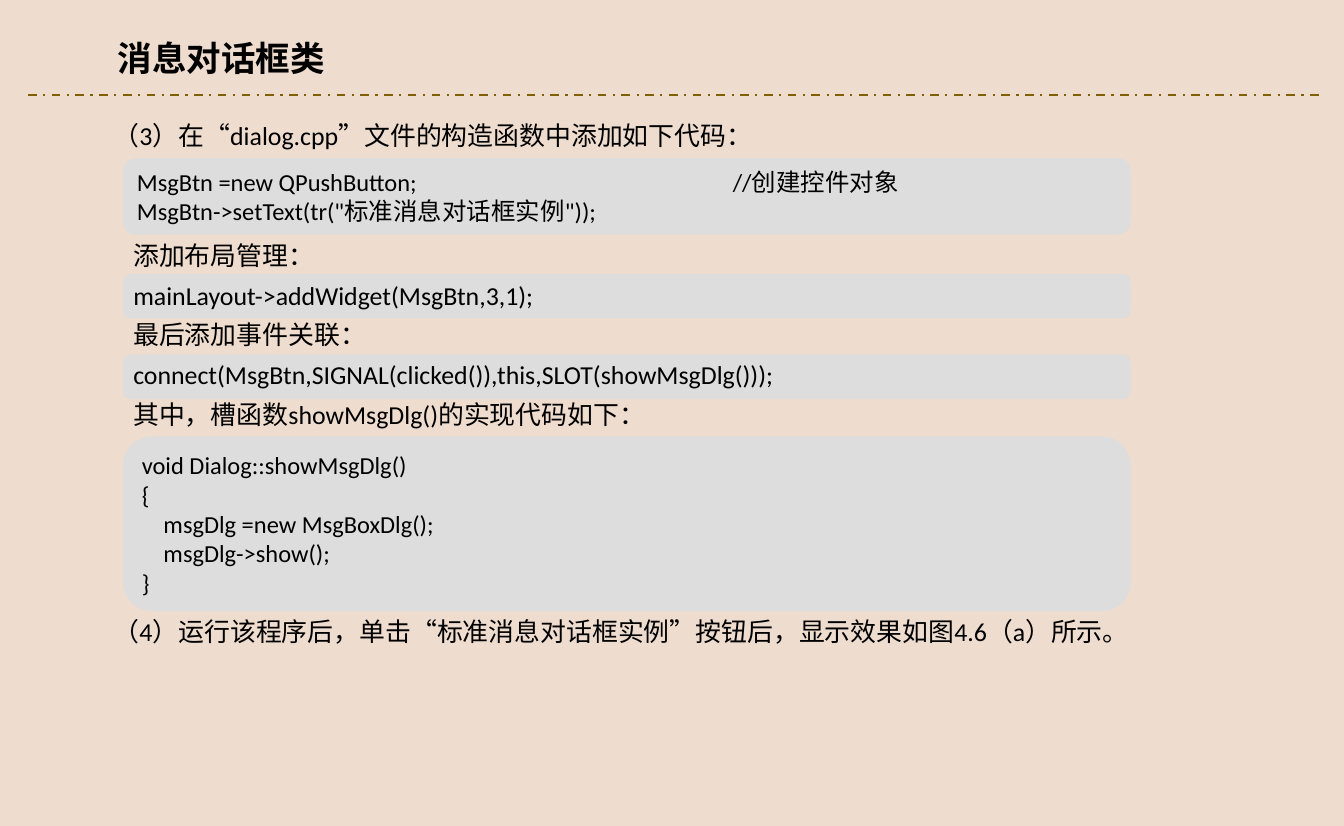
from dataclasses import dataclass

import lxml.etree
import pptx
import pptx.dml.color
import pptx.enum.dml
import pptx.enum.shapes
import pptx.enum.text
import pptx.oxml.ns
import pptx.util

Inches = pptx.util.Inches


@dataclass(frozen=True)
class Theme:
    font: str = "Calibri"
    background: str = "EEDCCE"
    panel: str = "DDDDDD"
    ink: str = "000000"
    rule: str = "806000"
    title_size: int = 24
    body_size: int = 18
    code_size: int = 17


@dataclass(frozen=True)
class Line:
    text: str
    spacing: int = 0
    indent: float = 0
    tab: float = 0


@dataclass(frozen=True)
class Block:
    left: float
    top: float
    width: float
    height: float
    size: int
    lines: tuple[Line, ...] = ()
    panel: bool = False
    bold: bool = False
    wrap: bool = True


THEME = Theme()
PANEL_LEFT, PANEL_WIDTH = 1.19, 9.74


def code_panel(top: float, height: float, *lines: Line) -> Block:
    return Block(PANEL_LEFT, top, PANEL_WIDTH, height, THEME.code_size, lines, panel=True)


BLOCKS = (
    code_panel(3.43, 0.43),
    code_panel(2.65, 0.43),
    Block(1, 1.11, 6.44, 0.4, THEME.body_size,
          (Line("（3）在“dialog.cpp”文件的构造函数中添加如下代码："),), wrap=False),
    code_panel(1.53, 0.74,
               Line("MsgBtn =new QPushButton;\t//创建控件对象", tab=5.76),
               Line('MsgBtn->setText(tr("标准消息对话框实例"));')),
    Block(PANEL_LEFT, 2.27, 6.5, 1.95, THEME.body_size, (
        Line("添加布局管理："),
        Line("mainLayout->addWidget(MsgBtn,3,1);", spacing=6),
        Line("最后添加事件关联："),
        Line("connect(MsgBtn,SIGNAL(clicked()),this,SLOT(showMsgDlg()));", spacing=6),
        Line("其中，槽函数showMsgDlg()的实现代码如下："))),
    code_panel(4.22, 1.69,
               Line("void Dialog::showMsgDlg()"),
               Line("{"),
               Line("msgDlg =new MsgBoxDlg();", indent=0.21),
               Line("msgDlg->show();", indent=0.21),
               Line("}")),
    Block(1, 5.91, 10.93, 0.4, THEME.body_size,
          (Line("（4）运行该程序后，单击“标准消息对话框实例”按钮后，显示效果如图4.6（a）所示。"),)),
    Block(1.04, 0.31, 4.64, 0.5, THEME.title_size, (Line("消息对话框类"),), bold=True),
)


def color(value: str) -> pptx.dml.color.RGBColor:
    return pptx.dml.color.RGBColor.from_string(value)


def format_paragraph(paragraph, line: Line, block: Block) -> None:
    paragraph.text = line.text
    paragraph.alignment = pptx.enum.text.PP_ALIGN.LEFT
    if line.spacing:
        paragraph.space_before = paragraph.space_after = pptx.util.Pt(line.spacing)
    properties = paragraph._p.get_or_add_pPr()
    if line.indent:
        properties.set("marL", str(Inches(line.indent)))
    if line.tab:
        qn = pptx.oxml.ns.qn
        tabs = lxml.etree.SubElement(properties, qn("a:tabLst"))
        lxml.etree.SubElement(tabs, qn("a:tab"), pos=str(Inches(line.tab)), algn="l")
    for run in paragraph.runs:
        run.font.name = THEME.font
        run.font.size = pptx.util.Pt(block.size)
        run.font.bold = block.bold
        run.font.color.rgb = color(THEME.ink)


def draw_block(slide, block: Block) -> None:
    box = [Inches(value) for value in (block.left, block.top, block.width, block.height)]
    if block.panel:
        shape = slide.shapes.add_shape(pptx.enum.shapes.MSO_SHAPE.ROUNDED_RECTANGLE, *box)
        shape.shadow.inherit = False
        shape.fill.solid()
        shape.fill.fore_color.rgb = color(THEME.panel)
        shape.line.fill.background()
    else:
        shape = slide.shapes.add_textbox(*box)
    if not block.lines:
        return
    frame = shape.text_frame
    frame.word_wrap = block.wrap
    frame.auto_size = pptx.enum.text.MSO_AUTO_SIZE.SHAPE_TO_FIT_TEXT
    frame.text = "\n".join(line.text for line in block.lines)
    for paragraph, line in zip(frame.paragraphs, block.lines):
        format_paragraph(paragraph, line, block)


def draw_title_rule(slide) -> None:
    rule = slide.shapes.add_connector(
        pptx.enum.shapes.MSO_CONNECTOR.STRAIGHT,
        Inches(0.27), Inches(0.92), Inches(12.79), Inches(0.92))
    rule.line.color.rgb = color(THEME.rule)
    rule.line.width = pptx.util.Pt(1.5)
    rule.line.dash_style = pptx.enum.dml.MSO_LINE.DASH_DOT
    lxml.etree.SubElement(rule._element.spPr, pptx.oxml.ns.qn("a:effectLst"))


def main() -> None:
    presentation = pptx.Presentation()
    presentation.slide_width = pptx.util.Cm(33)
    presentation.slide_height = pptx.util.Cm(20.29)
    slide = presentation.slides.add_slide(presentation.slide_layouts[6])
    slide.background.fill.solid()
    slide.background.fill.fore_color.rgb = color(THEME.background)
    draw_title_rule(slide)
    for block in BLOCKS:
        draw_block(slide, block)
    presentation.save("out.pptx")


if __name__ == "__main__":
    main()
